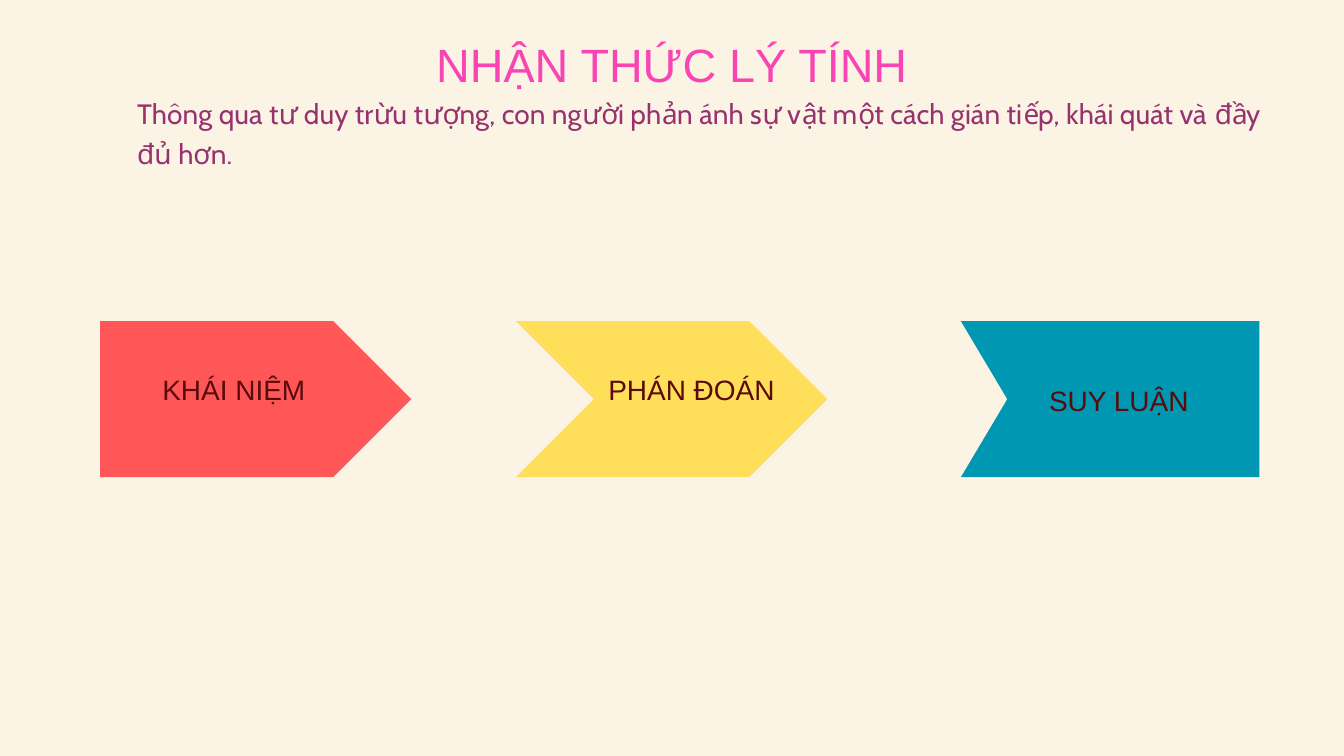
import pptx
import pptx.util
import pptx.dml.color
import pptx.enum.text

Inches = pptx.util.Inches
Pt = pptx.util.Pt
ALIGN = pptx.enum.text.PP_ALIGN
ANCHOR = pptx.enum.text.MSO_ANCHOR

COLORS = {
    "background": "FBF3E4",
    "title": "F845B3",
    "intro": "96336F",
    "label": "590A0A",
    "red": "FF5757",
    "yellow": "FFDE59",
    "teal": "0097B2",
}

TITLE = "NHẬN THỨC LÝ TÍNH"
INTRO = ("Thông qua tư duy trừu tượng, con người phản ánh sự vật "
         "một cách gián tiếp, khái quát và đầy đủ hơn.")
STEPS = [
    {"text": "KHÁI NIỆM", "color": "red", "left": 1.49, "width": 4.63,
     "notch": 0, "tip": 1.16, "label": (1.49, 4.4, 3.98, 2.7),
     "anchor": ANCHOR.MIDDLE, "inset": 0.06},
    {"text": "PHÁN ĐOÁN", "color": "yellow", "left": 7.68, "width": 4.63,
     "notch": 1.16, "tip": 1.16, "label": (8.7, 4.4, 3.18, 2.7),
     "anchor": ANCHOR.MIDDLE, "inset": 0.06},
    {"text": "SUY LUẬN", "color": "teal", "left": 14.3, "width": 4.44,
     "notch": 0.69, "tip": 0, "label": (14.43, 5.62, 4.44, 0.57),
     "anchor": ANCHOR.TOP, "inset": 0},
]
STEP_TOP, STEP_HEIGHT = 4.78, 2.32


def rgb(name):
    return pptx.dml.color.RGBColor.from_string(COLORS[name])


def write(box, text, size, color, font="Arial", leading=42,
          align=ALIGN.CENTER, anchor=ANCHOR.TOP, inset=0):
    frame = box.text_frame
    frame.text = text
    frame.word_wrap = True
    frame.auto_size = pptx.enum.text.MSO_AUTO_SIZE.NONE
    frame.vertical_anchor = anchor
    frame.margin_left = frame.margin_right = Inches(inset)
    frame.margin_top = frame.margin_bottom = Inches(inset)
    para = frame.paragraphs[0]
    para.alignment = align
    para.line_spacing = Pt(leading)
    para.space_before = Pt(0)
    span = para.runs[0]
    span.font.name = font
    span.font.size = Pt(size)
    span.font.color.rgb = rgb(color)
    return span


def add_arrow(page, step):
    left, right = step["left"], step["left"] + step["width"]
    top, bottom = STEP_TOP, STEP_TOP + STEP_HEIGHT
    middle = (top + bottom) / 2
    points = [(left, top), (right - step["tip"], top), (right, middle),
              (right - step["tip"], bottom), (left, bottom),
              (left + step["notch"], middle)]
    points = [(Inches(x), Inches(y)) for x, y in points]
    builder = page.shapes.build_freeform(*points[0])
    builder.add_line_segments(points[1:], close=True)
    arrow = builder.convert_to_shape()
    arrow.shadow.inherit = False
    arrow.fill.solid()
    arrow.fill.fore_color.rgb = rgb(step["color"])
    arrow.line.fill.background()


def main():
    deck = pptx.Presentation()
    deck.slide_width, deck.slide_height = Inches(20), Inches(11.25)
    page = deck.slides.add_slide(deck.slide_layouts[5])
    page.background.fill.solid()
    page.background.fill.fore_color.rgb = rgb("background")

    for step in STEPS:
        add_arrow(page, step)
        label = page.shapes.add_textbox(*map(Inches, step["label"]))
        write(label, step["text"], 30, "label",
              anchor=step["anchor"], inset=step["inset"])

    title = page.shapes.title
    title.left, title.top = Inches(6.37), Inches(0.39)
    title.width, title.height = Inches(7.26), Inches(0.93)
    write(title, TITLE, 50, "title", leading=70)

    intro = page.shapes.add_textbox(*map(Inches, (2.04, 1.36, 16.83, 1.16)))
    span = write(intro, INTRO, 30, "intro", font="Cabin", align=ALIGN.LEFT)
    span.font._element.set("spc", "10")

    deck.save("out.pptx")


if __name__ == "__main__":
    main()
